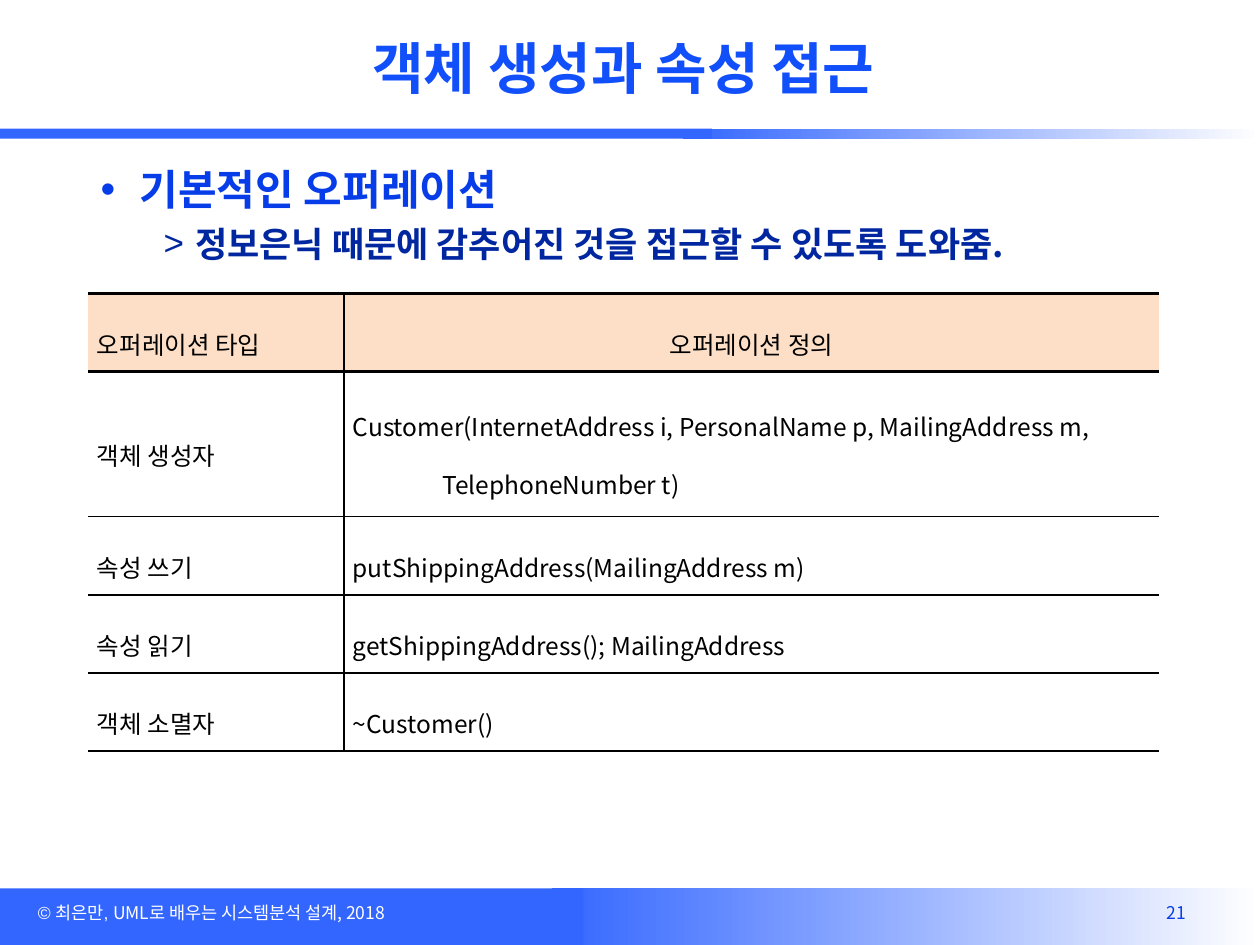
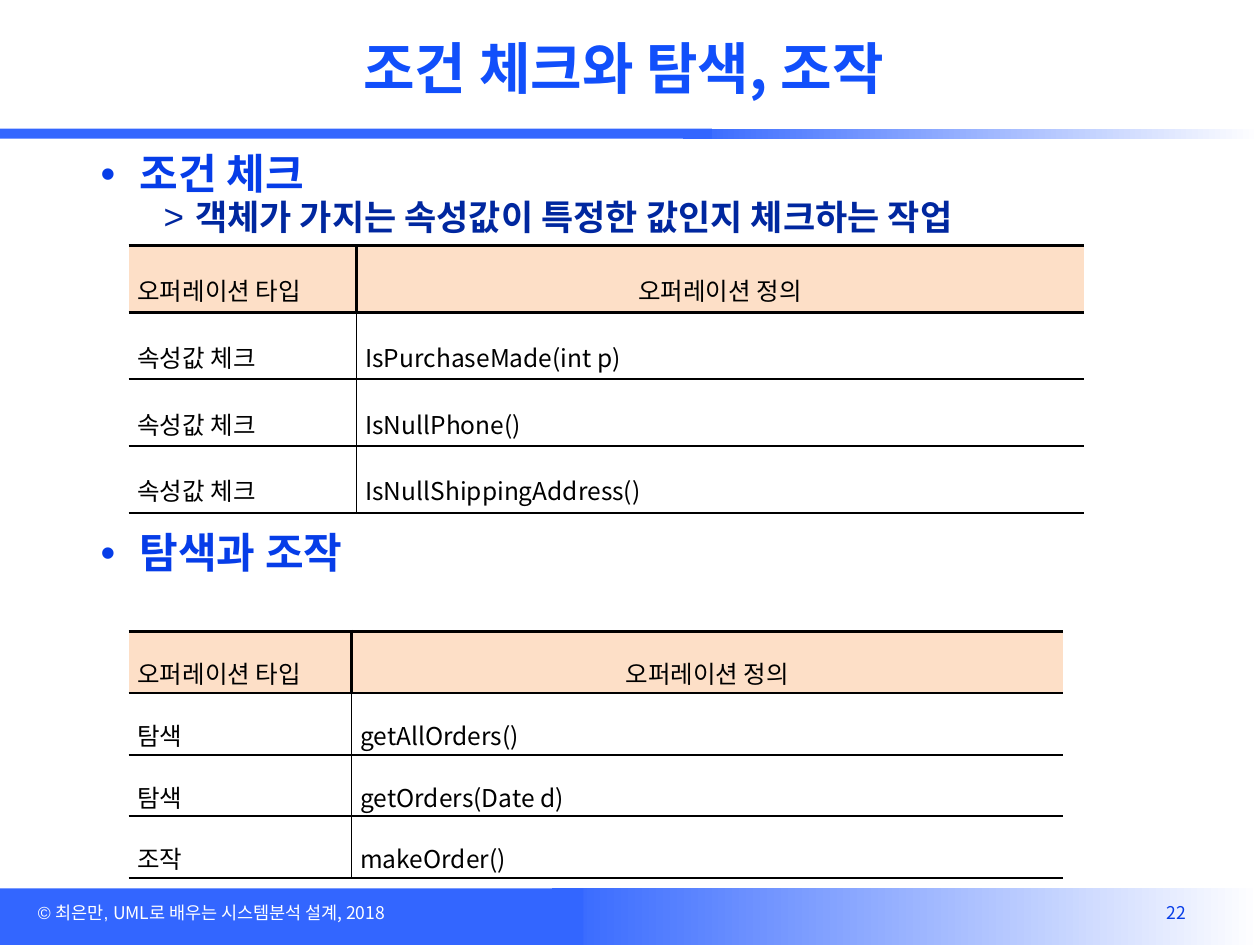
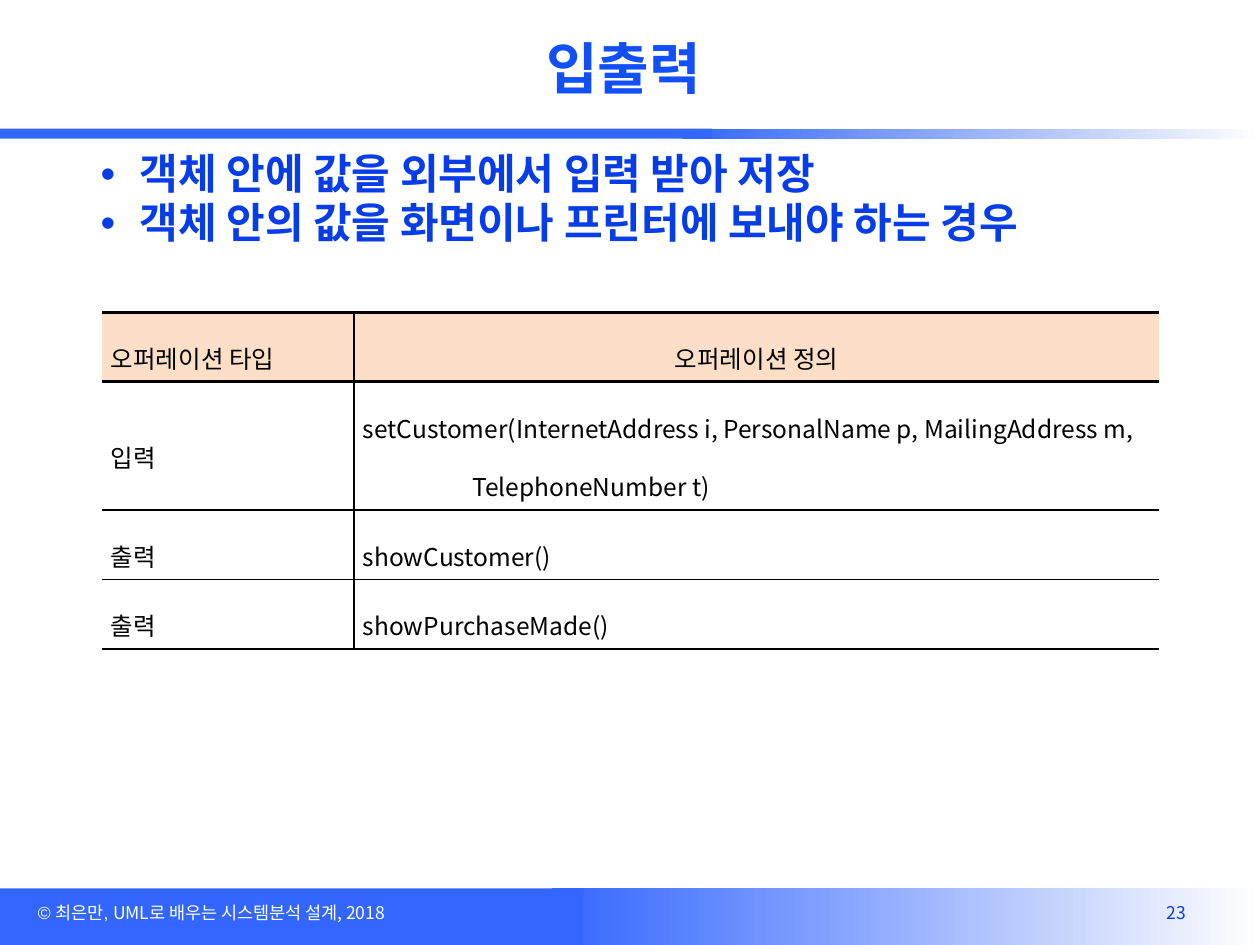
from lxml import etree
from pptx import Presentation
from pptx.dml.color import RGBColor
from pptx.enum.shapes import MSO_SHAPE
from pptx.enum.text import MSO_ANCHOR, PP_ALIGN
from pptx.oxml.ns import qn
from pptx.util import Inches, Pt

RECT = MSO_SHAPE.RECTANGLE
MIDDLE = MSO_ANCHOR.MIDDLE
LEFT, CENTER = PP_ALIGN.LEFT, PP_ALIGN.CENTER
RIGHT, JUST = PP_ALIGN.RIGHT, PP_ALIGN.JUSTIFY

FONT = "Noto Sans CJK KR"
COLORS = {
    "band": "3366FF", "white": "FFFFFF", "title": "114FFB", "head": "063DE8",
    "sub": "00279F", "black": "000000", "peach": "FDDFC7",
}
THICK, THIN = 1.7, 1.13
HEADS = ("오퍼레이션 타입", "오퍼레이션 정의")


def rgb(name):
    return RGBColor.from_string(COLORS[name])


def write(para, words, size=14, color="black", bold=False, font=FONT,
          align=LEFT, line=None, before=0, after=0):
    """Add a formatted run to a paragraph."""
    para.alignment = align
    para.line_spacing = line
    para.space_before, para.space_after = Pt(before), Pt(after)
    run = para.add_run()
    run.text = words
    run.font.size, run.font.bold = Pt(size), bold
    run.font.name = font
    run.font.color.rgb = rgb(color)
    east = etree.SubElement(run.font._element, qn("a:ea"))
    east.set("typeface", FONT)


def indent(para, left, first=0, mark=None):
    props = para._p.get_or_add_pPr()
    props.set("marL", str(Inches(left)))
    props.set("indent", str(Inches(first)))
    if mark:
        etree.SubElement(props, qn("a:buFont")).set("typeface", "Arial")
        etree.SubElement(props, qn("a:buChar")).set("char", mark)


def place(shape, box):
    shape.left, shape.top, shape.width, shape.height = map(Inches, box)


def add_box(slide, box, wrap=True):
    frame = slide.shapes.add_textbox(*map(Inches, box)).text_frame
    frame.word_wrap = wrap
    return frame


# Shared parts
def add_band(slide, box, fade, solid):
    """Solid bar on the left, fading bar from `fade` to the right edge."""
    left, top, width, height = box
    bars = []
    for start, span in ((left + fade, width - fade), (left, solid)):
        bar = slide.shapes.add_shape(
            RECT, *map(Inches, (start, top, span, height)))
        bar.shadow.inherit = False
        bar.line.fill.background()
        bars.append(bar)
    blend = bars[0].fill
    blend.gradient()
    blend.gradient_angle = 0
    for stop, name in zip(blend.gradient_stops, ("band", "white")):
        stop.color.rgb = rgb(name)
    bars[1].fill.solid()
    bars[1].fill.fore_color.rgb = rgb("band")


def add_frame(slide, layout):
    """Draw the bands and credit line, then hand them to the layout."""
    add_band(slide, (0, 7.05, 10, 0.45), 4.38, 4.63)
    add_band(slide, (0, 1.02, 10, 0.08), 5.42, 5.65)
    frame = add_box(slide, (0.16, 7.11, 4, 0.27))
    frame.margin_left = Inches(0.14)
    para = frame.paragraphs[0]
    write(para, "© 최은만, ", size=10, color="white", font="Arial")
    write(para, "UML로 배우는 시스템분석 설계, 2018", size=10, color="white")
    for shape in list(slide.shapes):
        if not shape.is_placeholder:
            layout.shapes.element.append(shape.element)


def add_title(slide, words, box=(0.7, 0.16, 8.5, 0.75)):
    place(slide.shapes.title, box)
    frame = slide.shapes.title.text_frame
    frame.vertical_anchor = MIDDLE
    write(frame.paragraphs[0], words, size=32, color="title", bold=True,
          align=CENTER)


def add_page(slide, number, box=(8.99, 7.11, 0.52, 0.27)):
    frame = add_box(slide, box, wrap=False)
    write(frame.paragraphs[0], str(number), size=10, color="head",
          align=RIGHT)


# Bulleted text
def add_body(slide, box, items, line):
    """Each item is (level, words, space before)."""
    frame = add_box(slide, box)
    for i, (level, words, before) in enumerate(items):
        para = frame.add_paragraph() if i else frame.paragraphs[0]
        if level:
            write(para, words, size=20, color="sub", bold=True, line=line,
                  before=before)
            indent(para, 0.75, -0.25, ">")
        else:
            write(para, words, size=24, color="head", bold=True, line=line,
                  before=before)
            indent(para, 0.31, -0.31, "•")


# Tables
def edge(cell, side, width):
    props = cell._tc.get_or_add_tcPr()
    line = etree.SubElement(props, qn("a:ln" + side))
    if not width:
        etree.SubElement(line, qn("a:noFill"))
        return
    line.set("w", str(Pt(width)))
    fill = etree.SubElement(line, qn("a:solidFill"))
    etree.SubElement(fill, qn("a:srgbClr")).set("val", COLORS["black"])


def add_cell(cell, words, row, col, hang):
    cell.vertical_anchor = MIDDLE
    cell.margin_left = cell.margin_right = Inches(0.07)
    cell.margin_top = cell.margin_bottom = Inches(0.02)
    align = JUST
    if col:
        align = {0: CENTER, 1: LEFT}.get(row, JUST)
    for i, part in enumerate(words.split("\n")):
        frame = cell.text_frame
        para = frame.add_paragraph() if i else frame.paragraphs[0]
        write(para, part, align=align, line=1.6)
        if i:
            indent(para, hang)
    # Borders come before the fill; the outer sides stay open
    inner = THIN if row else THICK
    edge(cell, "L", inner if col else 0)
    edge(cell, "R", 0 if col else inner)
    edge(cell, "T", THICK if row < 2 else THIN)
    edge(cell, "B", inner)
    if row:
        cell.fill.background()
    else:
        cell.fill.solid()
        cell.fill.fore_color.rgb = rgb("peach")


def add_grid(slide, box, first, rows, step, tall=None, hang=0):
    """Two columns; rows are `step` high, those of two lines `tall`."""
    rows = [HEADS, *rows]
    table = slide.shapes.add_table(len(rows), 2, *map(Inches, box)).table
    table.horz_banding = table.first_row = False
    for column, width in zip(table.columns, (first, box[2] - first)):
        column.width = Inches(width)
    for r, row in enumerate(rows):
        table.rows[r].height = Inches(tall if "\n" in row[1] else step)
        for c, words in enumerate(row):
            add_cell(table.cell(r, c), words, r, c, hang)


# Slides
def access(slide):
    add_body(slide, (0.7, 1.17, 8.55, 5.83), [
        (0, "기본적인 오퍼레이션", 0),
        (1, "정보은닉 때문에 감추어진 것을 접근할 수 있도록 도와줌.", 0),
    ], 1.2)
    add_grid(slide, (0.7, 2.33, 8.5, 3.62), 2.03, [
        ("객체 생성자", "Customer(InternetAddress i, PersonalName p, "
                   "MailingAddress m,\nTelephoneNumber t)"),
        ("속성 쓰기", "putShippingAddress(MailingAddress m)"),
        ("속성 읽기", "getShippingAddress(); MailingAddress"),
        ("객체 소멸자", "~Customer()"),
    ], 0.62, tall=1.15, hang=0.71)


def check(slide):
    add_body(slide, (0.7, 1.17, 8.55, 5.83), [
        (0, "조건 체크", 0),
        (1, "객체가 가지는 속성값이 특정한 값인지 체크하는 작업", 1),
        (0, "탐색과 조작", 168),
    ], 0.9)
    add_grid(slide, (1.02, 1.95, 7.58, 2.11), 1.81, [
        ("속성값 체크", name) for name in
        ("IsPurchaseMade(int p)", "IsNullPhone()", "IsNullShippingAddress()")
    ], 0.53)
    add_grid(slide, (1.02, 5.01, 7.42, 1.95), 1.77, [
        ("탐색", "getAllOrders()"),
        ("탐색", "getOrders(Date d)"),
        ("조작", "makeOrder()"),
    ], 0.49)


def output(slide):
    add_body(slide, (0.7, 1.17, 8.63, 5.83), [
        (0, "객체 안에 값을 외부에서 입력 받아 저장", 0),
        (0, "객체 안의 값을 화면이나 프린터에 보내야 하는 경우", 2),
    ], 0.9)
    add_grid(slide, (0.81, 2.48, 8.39, 2.66), 2, [
        ("입력", "setCustomer(InternetAddress i, PersonalName p, "
               "MailingAddress m,\nTelephoneNumber t)"),
        ("출력", "showCustomer()"),
        ("출력", "showPurchaseMade()"),
    ], 0.55, tall=1.02, hang=0.87)


deck = Presentation()
deck.slide_width, deck.slide_height = Inches(10), Inches(7.5)
plain = deck.slide_layouts[5]
pages = [("객체 생성과 속성 접근", access), ("조건 체크와 탐색, 조작", check),
         ("입출력", output)]
for number, (name, build) in enumerate(pages, 21):
    slide = deck.slides.add_slide(plain)
    if number == 21:
        add_frame(slide, plain)
    add_title(slide, name)
    add_page(slide, number)
    build(slide)
deck.save("out.pptx")
